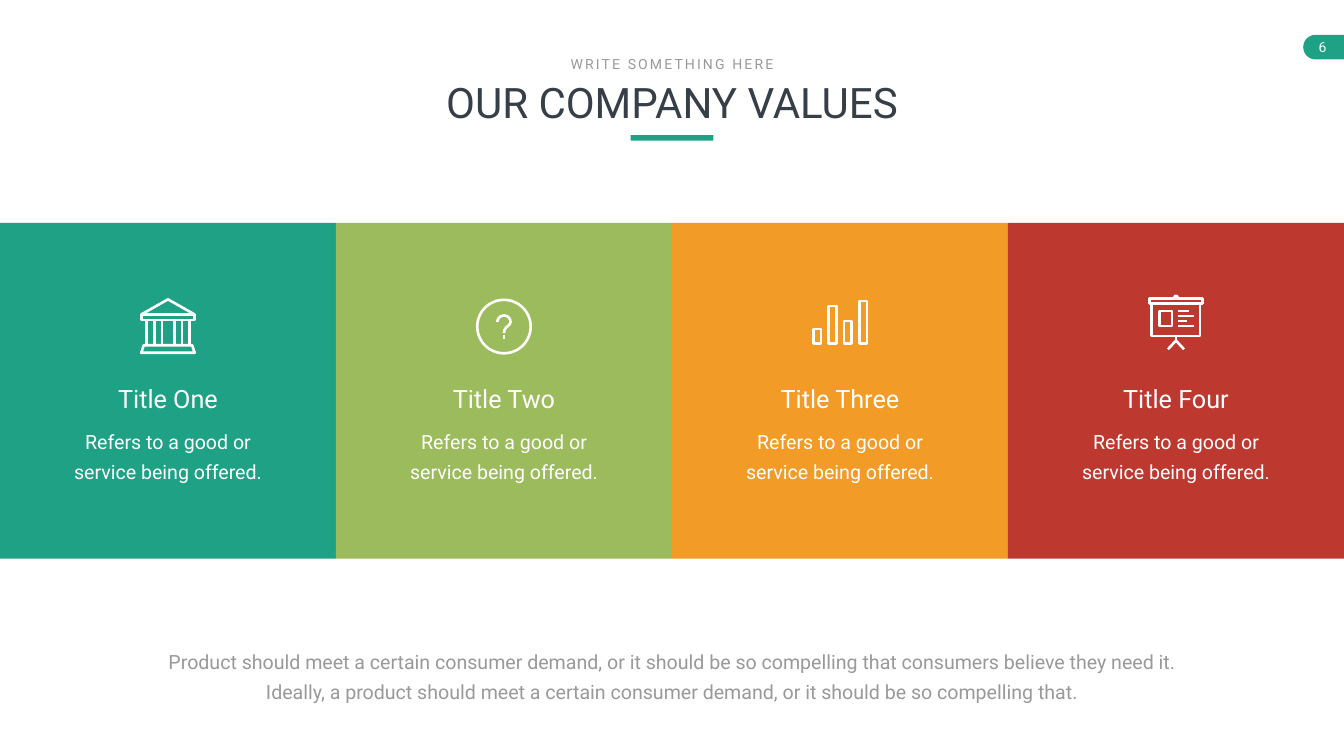
from math import cos, pi, sin

from pptx import Presentation
from pptx.dml.color import RGBColor
from pptx.enum.shapes import MSO_SHAPE as Shape
from pptx.enum.text import PP_ALIGN as Align
from pptx.util import Inches, Pt

TEAL = RGBColor(0x1E, 0xA1, 0x85)
GREEN = RGBColor(0x9B, 0xBB, 0x5C)
ORANGE = RGBColor(0xF2, 0x9B, 0x26)
RED = RGBColor(0xBD, 0x39, 0x2F)
WHITE = RGBColor(0xFF, 0xFF, 0xFF)
GREY = RGBColor(0x99, 0x99, 0x99)
NAVY = RGBColor(0x36, 0x3E, 0x48)

FONT = "Roboto"
SLIDE_WIDTH, SLIDE_HEIGHT = 26.66, 15
CARD_SIZE = SLIDE_WIDTH / 4
CARD_TEXT = "Refers to a good or service being offered."
SUMMARY = (
    "Product should meet a certain consumer demand, or it should be so compelling "
    "that consumers believe they need it. Ideally, a product should meet a certain "
    "consumer demand, or it should be so compelling that."
)


def frame(left, top, right, bottom):
    return [(left, top), (right, top), (right, bottom), (left, bottom), (left, top)]


def arc(x, y, radius, start, end, steps):
    angles = [start + (end - start) * step / steps for step in range(steps + 1)]
    return [(x + radius * cos(angle), y + radius * sin(angle)) for angle in angles]


def bank_icon():
    columns = [[(x, 0.44), (x, 0.94)] for x in (0.14, 0.29, 0.44, 0.69, 0.84, 0.99)]
    roof = [(0.03, 0.33), (0.56, 0.03), (1.09, 0.33)]
    base = [(0.08, 0.94), (1.04, 0.94), (1.09, 1.09), (0.03, 1.09), (0.08, 0.94)]
    return [roof, frame(0.03, 0.33, 1.09, 0.44), base] + columns


def question_icon():
    circle = arc(0.56, 0.56, 0.53, 0, 2 * pi, 72)
    hook = arc(0.56, 0.47, 0.13, pi, 2 * pi, 18)
    hook += [(0.67, 0.52), (0.6, 0.58), (0.57, 0.63), (0.56, 0.69)]
    return [circle, hook, [(0.56, 0.73), (0.56, 0.81)]]


def bars_icon():
    tops = (0.59, 0.13, 0.43, 0.03)
    lefts = [0.03 + 0.305 * index for index in range(len(tops))]
    return [frame(left, top, left + 0.15, 0.88) for left, top in zip(lefts, tops)]


def board_icon():
    rows = ((0.33, 0.82), (0.43, 0.92), (0.53, 0.77), (0.63, 0.92))
    return [
        frame(0.03, 0.08, 1.09, 0.18),
        frame(0.08, 0.18, 1.04, 0.83),
        arc(0.56, 0.06, 0.03, pi, 2 * pi, 8),
        [(0.56, 0.83), (0.56, 0.92)],
        [(0.4, 1.09), (0.56, 0.92), (0.72, 1.09)],
        frame(0.23, 0.33, 0.48, 0.63),
    ] + [[(0.61, y), (right, y)] for y, right in rows]


CARDS = (
    ("Title One", TEAL, bank_icon, 1.49),
    ("Title Two", GREEN, question_icon, 1.5),
    ("Title Three", ORANGE, bars_icon, 1.52),
    ("Title Four", RED, board_icon, 1.42),
)


def add_block(page, left, top, width, height, colour, kind=Shape.RECTANGLE):
    block = page.shapes.add_shape(
        kind, Inches(left), Inches(top), Inches(width), Inches(height)
    )
    block.shadow.inherit = False
    block.fill.solid()
    block.fill.fore_color.rgb = colour
    block.line.fill.background()
    return block


def add_text(page, left, top, width, height, text, size, colour,
             leading=None, inset=0.1, tracking=None):
    box = page.shapes.add_textbox(
        Inches(left), Inches(top), Inches(width), Inches(height)
    )
    body = box.text_frame
    body.word_wrap = True
    body.margin_left = body.margin_right = Inches(inset)
    body.margin_top = body.margin_bottom = Inches(inset / 2)
    para = body.paragraphs[0]
    para.alignment = Align.CENTER
    if leading:
        para.line_spacing = Pt(leading)
    span = para.add_run()
    span.text = text
    span.font.name = FONT
    span.font.size = Pt(size)
    span.font.color.rgb = colour
    if tracking:
        span.font._element.set("spc", str(tracking * 100))


def add_icon(page, left, top, strokes):
    outlines = [[(Inches(x), Inches(y)) for x, y in stroke] for stroke in strokes]
    builder = page.shapes.build_freeform(*outlines[0][0])
    for index, points in enumerate(outlines):
        if index:
            builder.move_to(*points[0])
        builder.add_line_segments(points[1:], close=points[0] == points[-1])
    icon = builder.convert_to_shape(Inches(left), Inches(top))
    icon.shadow.inherit = False
    icon.fill.background()
    icon.line.color.rgb = WHITE
    icon.line.width = Pt(3.7)


def add_header(page, left, top, width):
    add_text(page, left, top + 0.42, width, 1.11, "OUR COMPANY VALUES", 60, NAVY)
    add_text(page, left, top, width, 0.44, "WRITE SOMETHING HERE", 20, GREY, tracking=3)
    add_block(page, left + (width - 1.64) / 2, top + 1.63, 1.64, 0.11, TEAL)


def add_badge(page, left, top, number):
    cap = add_block(page, left, top, 0.49, 0.49, TEAL, Shape.FLOWCHART_DELAY)
    cap.rotation = 180
    add_block(page, left + 0.49, top, 0.32, 0.49, TEAL)
    add_text(page, left, top + 0.03, 0.77, 0.43, number, 20, WHITE)


def add_card(page, left, top, size, title, colour, icon, icon_top):
    add_block(page, left, top, size, size, colour)
    add_icon(page, left + (size - 1.12) / 2, top + icon_top, icon())
    add_text(page, left + 1.35, top + 3.14, size - 2.7, 0.71, title, 36, WHITE)
    add_text(page, left + 1.01, top + 3.85, size - 2.02, 1.39, CARD_TEXT, 28, WHITE,
             leading=43, inset=0.24)


def main():
    deck = Presentation()
    deck.slide_width = Inches(SLIDE_WIDTH)
    deck.slide_height = Inches(SLIDE_HEIGHT)
    page = deck.slides.add_slide(deck.slide_layouts[6])
    add_badge(page, 25.85, 0.69, "6")
    add_header(page, 7.34, 1.05, 11.98)
    for index, card in enumerate(CARDS):
        add_card(page, index * CARD_SIZE, 4.42, CARD_SIZE, *card)
    add_text(page, 2.99, 12.71, 20.67, 1.25, SUMMARY, 28, GREY, leading=43)
    deck.save("out.pptx")


if __name__ == "__main__":
    main()
